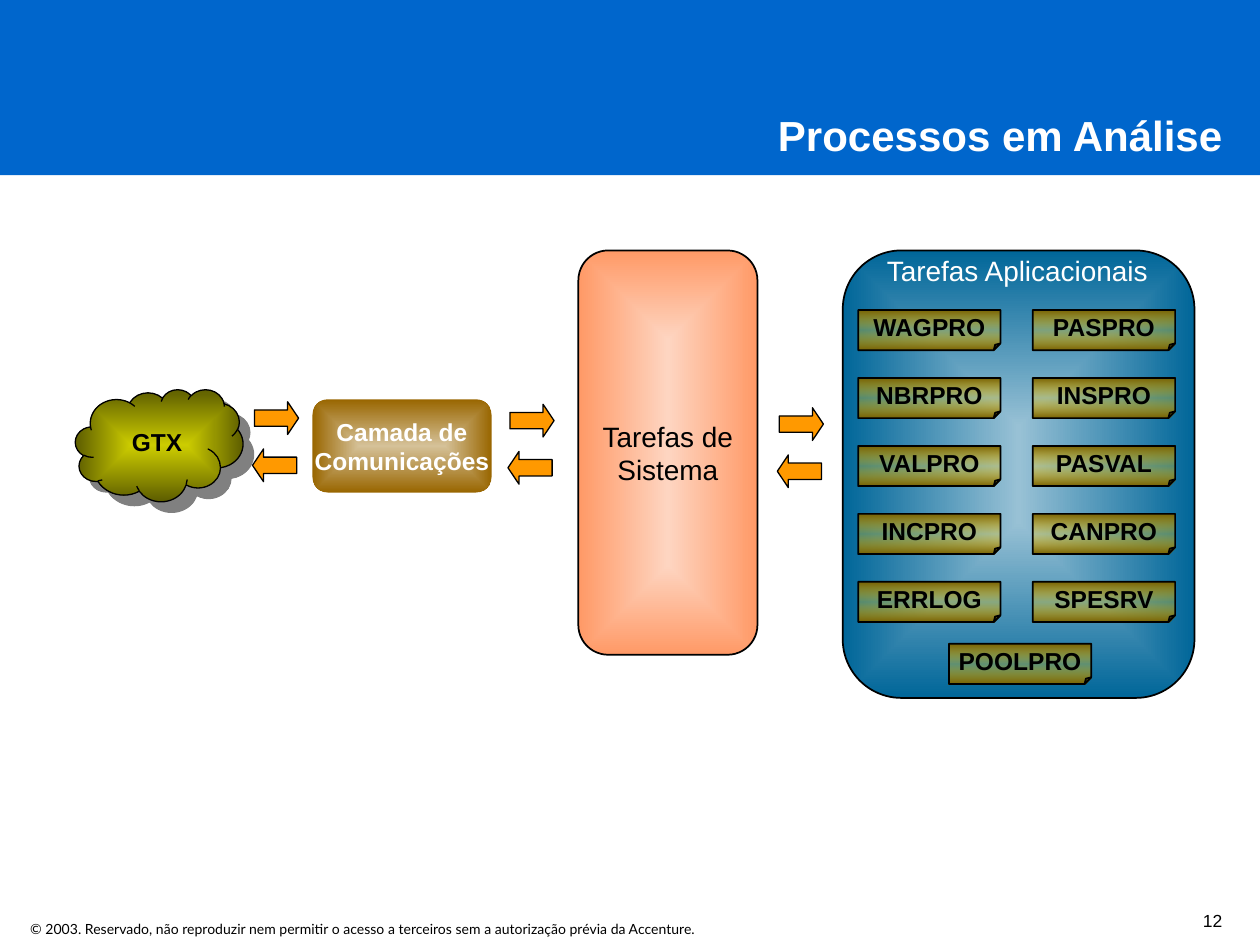
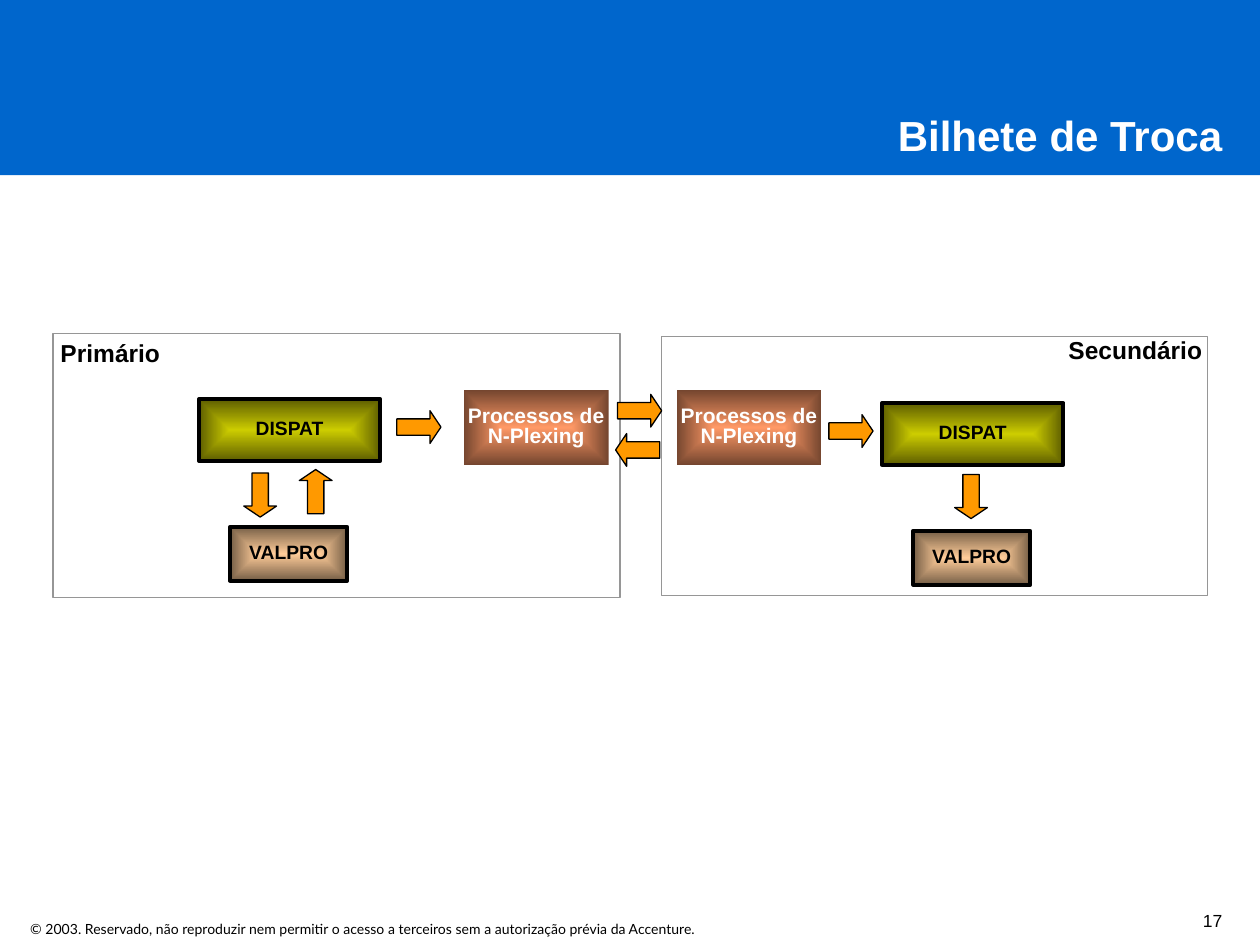
from dataclasses import dataclass
from typing import NamedTuple, Optional

from lxml.etree import SubElement
from pptx import Presentation
from pptx.dml.color import RGBColor
from pptx.enum.shapes import MSO_SHAPE
from pptx.enum.text import MSO_ANCHOR, MSO_AUTO_SIZE, PP_ALIGN
from pptx.oxml import parse_xml
from pptx.oxml.ns import nsdecls, qn
from pptx.shapes.autoshape import Shape
from pptx.slide import Slide
from pptx.text.text import TextFrame
from pptx.util import Cm, Pt

BLACK = RGBColor(0x00, 0x00, 0x00)
WHITE = RGBColor(0xFF, 0xFF, 0xFF)
BLUE = RGBColor(0x00, 0x66, 0xCC)
ORANGE = RGBColor(0xFF, 0x99, 0x00)
GREY = RGBColor(0x96, 0x96, 0x96)
SHADE = RGBColor(0x80, 0x80, 0x80)
OLIVE = RGBColor(0xCC, 0xCC, 0x00)
MOSS = RGBColor(0x5E, 0x5E, 0x00)
SKY = RGBColor(0x98, 0xC1, 0xD5)
TEAL = RGBColor(0x00, 0x66, 0x99)
BLUSH = RGBColor(0xFE, 0xD5, 0xC1)
SALMON = RGBColor(0xFF, 0x99, 0x66)
RUST = RGBColor(0x75, 0x46, 0x2F)
SAND = RGBColor(0xD5, 0xC1, 0x98)
BRONZE = RGBColor(0x99, 0x66, 0x00)
PEACH = RGBColor(0xFF, 0xCC, 0x99)
BROWN = RGBColor(0x75, 0x5E, 0x46)
GOLD = RGBColor(0xFF, 0xCC, 0x00)
DARK_GOLD = RGBColor(0x75, 0x5E, 0x00)

NOTICE = ("© 2003. Reservado, não reproduzir nem permitir o acesso a terceiros "
          "sem a autorização prévia da Accenture.")


class Area(NamedTuple):
    """Left, top, width and height in centimetres."""
    left: float
    top: float
    width: float
    height: float


class Stop(NamedTuple):
    place: int
    color: RGBColor
    alpha: int = 100


@dataclass(frozen=True)
class Type:
    size: float
    color: RGBColor = BLACK
    bold: bool = False
    font: str = "Arial"
    align: PP_ALIGN = PP_ALIGN.LEFT
    spacing: Optional[float] = None


@dataclass(frozen=True)
class Look:
    """Outline form, gradient stops, border and lettering of a box."""
    form: MSO_SHAPE
    stops: tuple[Stop, ...]
    border: float
    type: Optional[Type] = None
    linear: bool = False


def glow(inner: RGBColor, outer: RGBColor) -> tuple[Stop, ...]:
    return Stop(0, inner), Stop(100, outer)


MID = PP_ALIGN.CENTER
TITLE = Type(24, WHITE, True, align=PP_ALIGN.RIGHT)
NOTE = Type(8, font="Lato")
NUMBER = Type(10, align=PP_ALIGN.RIGHT, spacing=0.8)
LABEL = Type(14, bold=True)
SMALL = Type(11, bold=True, align=MID, spacing=0.8)

ROUND = MSO_SHAPE.FLOWCHART_ALTERNATE_PROCESS
RECT = MSO_SHAPE.RECTANGLE
CLOUD = Look(MSO_SHAPE.CLOUD, glow(OLIVE, MOSS), 0.75)
TASKS = Look(ROUND, glow(SKY, TEAL), 1)
SYSTEM = Look(ROUND, glow(BLUSH, SALMON), 1, Type(16, align=MID))
LAYER = Look(ROUND, glow(SAND, BRONZE), 0, Type(14, WHITE, True, align=MID))
CARD = Look(MSO_SHAPE.FOLDED_CORNER,
            (Stop(0, DARK_GOLD), Stop(50, GOLD, 30), Stop(100, DARK_GOLD)),
            1, Type(14, bold=True, align=MID), linear=True)
DISPATCH = Look(RECT, glow(OLIVE, MOSS), 2.25, SMALL)
PLEXING = Look(RECT, glow(SALMON, RUST), 0,
               Type(12, WHITE, True, align=MID, spacing=0.8))
CHECK = Look(RECT, glow(PEACH, BROWN), 2.25, SMALL)

CARDS = (("WAGPRO", "PASPRO"), ("NBRPRO", "INSPRO"), ("VALPRO", "PASVAL"),
         ("INCPRO", "CANPRO"), ("ERRLOG", "SPESRV"))
CARD_W, CARD_H = 2.87, 0.81
CARD_X, CARD_Y = 17.3, 6.25
STEP_X, STEP_Y = 3.52, 1.37


def letter(frame: TextFrame, text: str, kind: Type) -> None:
    frame.text = text
    for para in frame.paragraphs:
        para.alignment = kind.align
        if kind.spacing:
            para.line_spacing = kind.spacing
        for run in para.runs:
            run.font.name = kind.font
            run.font.size = Pt(kind.size)
            run.font.bold = kind.bold
            run.font.color.rgb = kind.color


def add_text(slide: Slide, area: Area, text: str, kind: Type,
             wrap: bool = False, anchor: MSO_ANCHOR = MSO_ANCHOR.TOP) -> None:
    frame = slide.shapes.add_textbox(*map(Cm, area)).text_frame
    letter(frame, text, kind)
    frame.word_wrap = wrap
    frame.vertical_anchor = anchor
    if not wrap:
        frame.auto_size = MSO_AUTO_SIZE.SHAPE_TO_FIT_TEXT


def add_plain(slide: Slide, form: MSO_SHAPE, area: Area, fill: RGBColor,
              border: float = 0, edge: RGBColor = BLACK) -> Shape:
    shape = slide.shapes.add_shape(form, *map(Cm, area))
    shape.shadow.inherit = False
    shape.fill.solid()
    shape.fill.fore_color.rgb = fill
    if border:
        shape.line.color.rgb = edge
        shape.line.width = Pt(border)
    else:
        shape.line.fill.background()
    return shape


def blend(shape: Shape, look: Look) -> None:
    """Swap the solid fill for the look's gradient."""
    stops = "".join(
        f'<a:gs pos="{stop.place * 1000}"><a:srgbClr val="{stop.color}">'
        f'<a:alpha val="{stop.alpha * 1000}"/></a:srgbClr></a:gs>'
        for stop in look.stops)
    course = ('<a:lin ang="5400000" scaled="0"/>' if look.linear else
              '<a:path path="rect"><a:fillToRect l="50000" t="50000" '
              'r="50000" b="50000"/></a:path>')
    grad = parse_xml(f'<a:gradFill {nsdecls("a")} rotWithShape="1">'
                     f'<a:gsLst>{stops}</a:gsLst>{course}</a:gradFill>')
    props = shape.element.spPr
    props.replace(props.find(qn("a:solidFill")), grad)


def add_box(slide: Slide, area: Area, look: Look, text: str = "") -> Shape:
    shape = add_plain(slide, look.form, area, look.stops[0].color, look.border)
    blend(shape, look)
    if text and look.type:
        frame = shape.text_frame
        letter(frame, text, look.type)
        frame.word_wrap = False
        frame.vertical_anchor = MSO_ANCHOR.MIDDLE
    return shape


def cast(shape: Shape) -> None:
    """Give the shape a hard shadow down and to the right."""
    effects = shape.element.spPr.find(qn("a:effectLst"))
    outer = SubElement(effects, qn("a:outerShdw"), blurRad="0",
                       dist=str(Pt(8.5)), dir="2700000", algn="ctr",
                       rotWithShape="0")
    SubElement(outer, qn("a:srgbClr"), val=str(SHADE))


def add_arrow(slide: Slide, left: float, top: float, turn: int = 0) -> None:
    arrow = add_plain(slide, MSO_SHAPE.RIGHT_ARROW,
                      Area(left, top, 0.89, 0.66), ORANGE, 0.75)
    arrow.adjustments[1] = 0.336
    arrow.rotation = turn


def add_pair(slide: Slide, left: float, top: float, gap: float = 0.95) -> None:
    """Draw an arrow out and, below it, an arrow back."""
    add_arrow(slide, left, top)
    add_arrow(slide, left - 0.04, top + gap, 180)


def add_base(deck: Presentation, title: str, number: int) -> Slide:
    slide = deck.slides.add_slide(deck.slide_layouts[6])
    add_plain(slide, RECT, Area(0, 0, 25.4, 3.53), BLUE)
    add_text(slide, Area(0.36, 18.44, 15.06, 0.61), NOTICE, NOTE)
    add_text(slide, Area(6.32, 2.08, 18.57, 1.27), title, TITLE, wrap=True)
    add_text(slide, Area(20.19, 18.14, 4.7, 0.76), str(number), NUMBER,
             wrap=True, anchor=MSO_ANCHOR.BOTTOM)
    return slide


def draw_flow(deck: Presentation) -> None:
    slide = add_base(deck, "Processos em Análise", 12)
    add_box(slide, Area(16.99, 5.05, 7.09, 9.02), TASKS)
    add_text(slide, Area(17.63, 4.98, 5.84, 0.94), "Tarefas Aplicacionais",
             Type(16, WHITE))
    add_box(slide, Area(11.66, 5.05, 3.61, 8.15), SYSTEM, "Tarefas de\nSistema")
    cast(add_box(slide, Area(1.52, 7.85, 3.38, 2.26), CLOUD))
    add_text(slide, Area(2.41, 8.48, 1.52, 0.86), "GTX", LABEL)
    add_box(slide, Area(6.3, 8.05, 3.61, 1.88), LAYER, "Camada de\nComunicações")
    for left, top in ((5.13, 8.1), (10.28, 8.15), (15.71, 8.22)):
        add_pair(slide, left, top)
    for row, names in enumerate(CARDS):
        for col, name in enumerate(names):
            add_box(slide, Area(CARD_X + col * STEP_X, CARD_Y + row * STEP_Y,
                                CARD_W, CARD_H), CARD, name)
    add_box(slide, Area(19.13, 12.98, CARD_W, CARD_H), CARD, "POOLPRO")


def draw_swap(deck: Presentation) -> None:
    slide = add_base(deck, "Bilhete de Troca", 17)
    for area in (Area(1.07, 6.73, 11.43, 5.31), Area(13.34, 6.78, 11, 5.23)):
        add_plain(slide, RECT, area, WHITE, 0.75, GREY)
    add_text(slide, Area(0.97, 6.68, 3.61, 0.86), "Primário", LABEL, wrap=True)
    add_text(slide, Area(21.29, 6.63, 3.28, 0.86), "Secundário", LABEL, wrap=True)
    for left, top in ((4.01, 8.05), (17.78, 8.13)):
        add_box(slide, Area(left, top, 3.66, 1.24), DISPATCH, "DISPAT")
        add_box(slide, Area(left + 0.63, top + 2.57, 2.36, 1.09), CHECK, "VALPRO")
    for left in (9.35, 13.64):
        add_box(slide, Area(left, 7.87, 2.92, 1.5), PLEXING,
                "Processos de\nN-Plexing")
    add_pair(slide, 12.45, 7.95, 0.79)
    for left, top, turn in ((8, 8.28, 0), (16.71, 8.36, 0), (4.8, 9.65, 90),
                            (5.92, 9.58, 270), (19.13, 9.68, 90)):
        add_arrow(slide, left, top, turn)


def main() -> None:
    deck = Presentation()
    deck.slide_width, deck.slide_height = Cm(25.4), Cm(19.05)
    draw_flow(deck)
    draw_swap(deck)
    deck.save("out.pptx")


if __name__ == "__main__":
    main()
